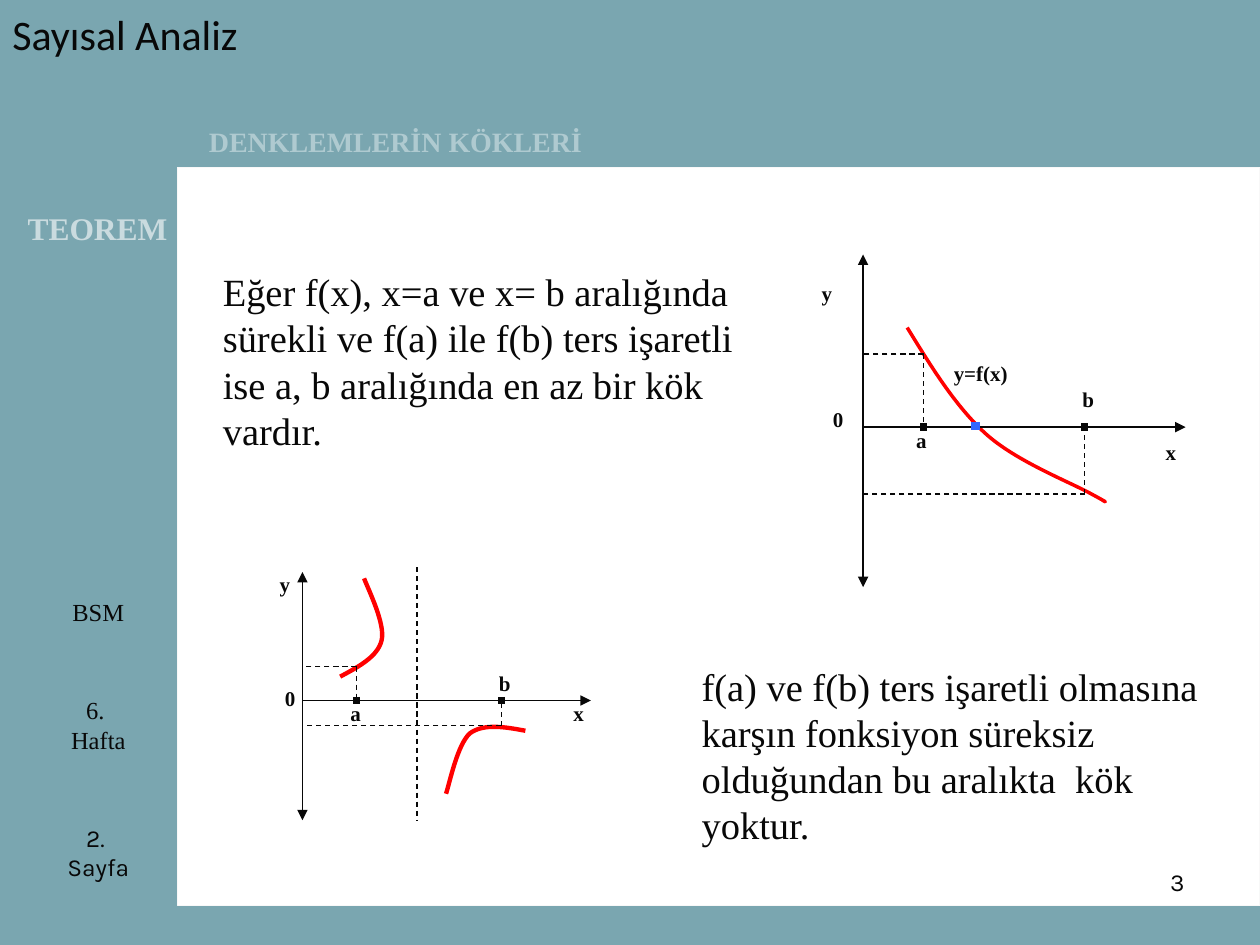
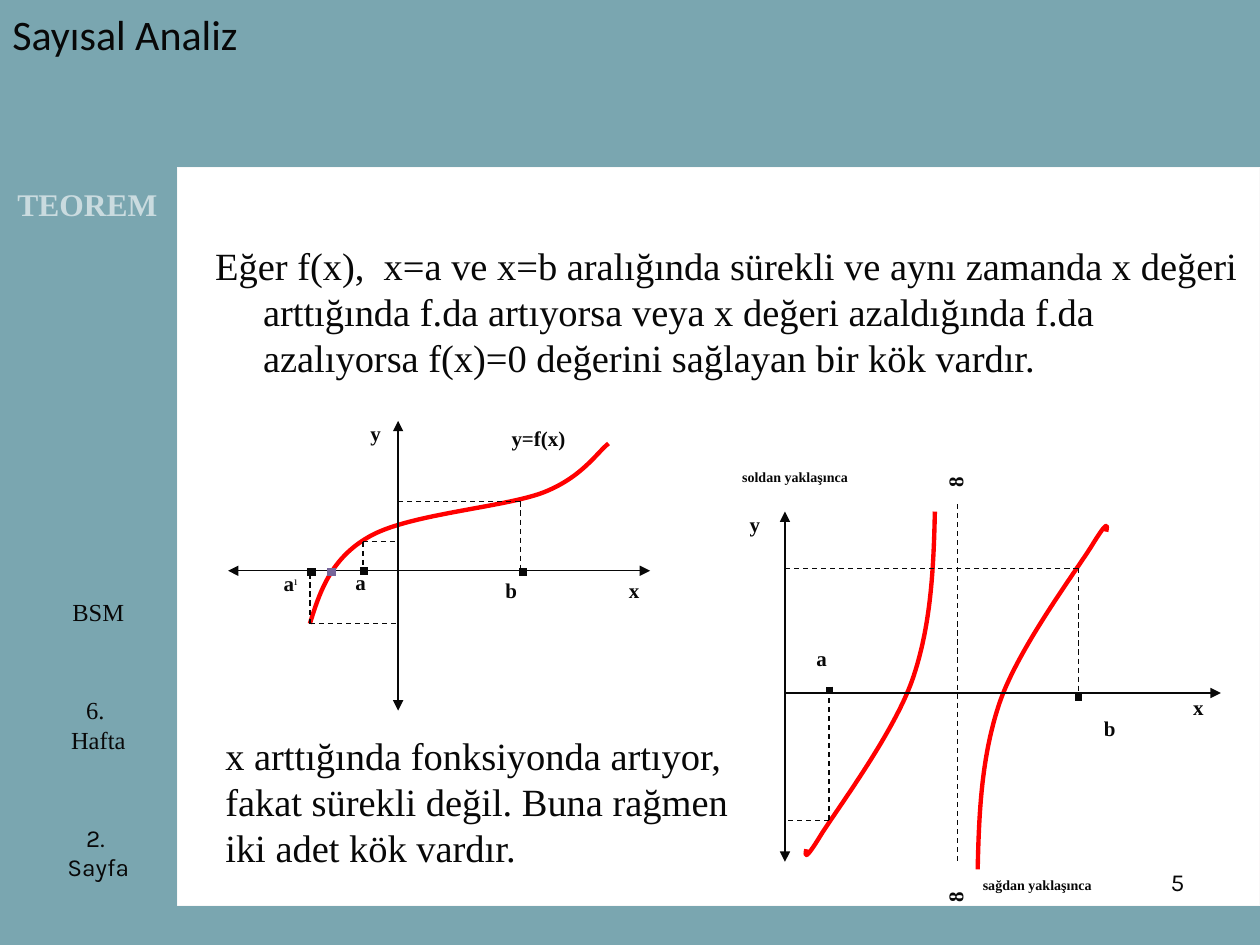
import pptx
import pptx.util
import pptx.dml.color
import pptx.enum.dml
import pptx.enum.shapes
import pptx.enum.text
import pptx.oxml.ns
import lxml.etree

Inches = pptx.util.Inches
Pt = pptx.util.Pt
rgb = pptx.dml.color.RGBColor.from_string
qn = pptx.oxml.ns.qn
ALIGN = pptx.enum.text.PP_ALIGN

TEAL, WHITE, EDGE, INK = "7AA6B0", "FFFFFF", "F8F8F8", "080808"
RED, BLUE, PURPLE = "FF0000", "3366FF", "76669A"
HEADING, SIDE_HEADING = "AFCAD0", "CADBDF"
SERIF = "Times New Roman"


def add_text(s, text, left, top, width, height, size, font=SERIF, color=INK,
             bold=False, align=ALIGN.LEFT, wrap=True, inset=None):
    """Add a text box; what follows a ^ becomes a plain superscript."""
    sp = s.shapes.add_textbox(Inches(left), Inches(top), Inches(width), Inches(height))
    tf = sp.text_frame
    tf.word_wrap = wrap
    if inset is not None:
        tf.margin_left = tf.margin_right = Inches(inset)
        tf.margin_top = tf.margin_bottom = 0
    p = tf.paragraphs[0]
    p.alignment = align
    for i, part in enumerate(text.split("^")):
        r = p.add_run()
        r.text = part
        r.font.name = font
        r.font.size = Pt(size)
        r.font.bold = bold and i == 0
        r.font.color.rgb = rgb(color)
        if i:
            r.font._element.set("baseline", "30000")
    return sp


def add_line(s, x1, y1, x2, y2, color=INK, width=0.75, dashed=False, arrows=()):
    """Add a straight line; arrows may hold headEnd and tailEnd."""
    sp = s.shapes.add_connector(pptx.enum.shapes.MSO_CONNECTOR.STRAIGHT,
                                Inches(x1), Inches(y1), Inches(x2), Inches(y2))
    sp.line.color.rgb = rgb(color)
    sp.line.width = Pt(width)
    if dashed:
        sp.line.dash_style = pptx.enum.dml.MSO_LINE.DASH
    spPr = sp._element.spPr
    for end in arrows:
        lxml.etree.SubElement(spPr.find(qn("a:ln")), qn("a:" + end), type="triangle")
    lxml.etree.SubElement(spPr, qn("a:effectLst"))


prs = pptx.Presentation()
prs.slide_width = Inches(10)
prs.slide_height = Inches(7.5)
background = prs.slide_master.background.fill
background.solid()
background.fore_color.rgb = rgb(TEAL)

# Shared frame: white panel, course title, sidebar, page number, side heading
slides = []
for number, teorem_left, teorem_top in [("3", 0.12, 1.61), ("5", 0.04, 1.42)]:
    s = prs.slides.add_slide(prs.slide_layouts[6])
    slides.append(s)
    panel = s.shapes.add_shape(pptx.enum.shapes.MSO_SHAPE.RECTANGLE,
                               Inches(1.41), Inches(1.33), Inches(8.59), Inches(5.86))
    panel.shadow.inherit = False
    panel.fill.solid()
    panel.fill.fore_color.rgb = rgb(WHITE)
    panel.line.color.rgb = rgb(EDGE)
    panel.line.width = Pt(0.75)
    for text, top, height, font in [("BSM", 4.69, 0.47, SERIF),
                                    ("6.  Hafta", 5.47, 0.7, SERIF),
                                    ("2.  Sayfa", 6.48, 0.52, "Karla")]:
        add_text(s, text, 0.39, top, 0.78, height, 14, font, align=ALIGN.CENTER)
    add_text(s, number, 7.17, 6.83, 2.33, 0.52, 14, "Karla", align=ALIGN.RIGHT)
    title = add_text(s, "Sayısal Analiz", 0, 0, 8.07, 0.54, 24, "Calibri")
    title.text_frame.vertical_anchor = pptx.enum.text.MSO_ANCHOR.MIDDLE
    add_text(s, "TEOREM", teorem_left, teorem_top, 1.32, 0.4, 18,
             color=SIDE_HEADING, bold=True, wrap=False)
first, second = slides

# Theorem texts
add_text(first, "DENKLEMLERİN KÖKLERİ", 1.54, 0.94, 3.2, 0.37, 16,
         color=HEADING, bold=True, align=ALIGN.CENTER, wrap=False)
add_text(first, "Eğer f(x), x=a ve x= b aralığında sürekli ve f(a) ile f(b) ters işaretli "
         "ise a, b aralığında en az bir kök vardır.", 1.67, 2.08, 4.51, 1.62, 22)
add_text(first, "f(a) ve f(b) ters işaretli olmasına karşın fonksiyon süreksiz "
         "olduğundan bu aralıkta  kök yoktur.", 5.47, 5.21, 4.41, 1.65, 22)
theorem = add_text(second, "Eğer f(x),  x=a ve x=b aralığında sürekli ve aynı zamanda x değeri "
                   "arttığında f.da artıyorsa veya x değeri azaldığında f.da azalıyorsa "
                   "f(x)=0 değerini sağlayan bir kök vardır.", 1.61, 1.87, 8.39, 1.2, 22)
pPr = theorem.text_frame.paragraphs[0]._p.get_or_add_pPr()
pPr.set("marL", str(Inches(0.38)))
pPr.set("indent", str(-Inches(0.38)))
add_text(second, "x arttığında fonksiyonda artıyor, fakat sürekli değil. Buna rağmen "
         "iki adet kök vardır.", 1.69, 5.76, 4.41, 1.26, 22)

# Graphs: Bezier points of the curves, axes with their origin, curve points
# projected on both axes, marks (x, y, colour, width) and labels (text, x, y)
left_branch = [(7.42, 4.06), (7.41, 4.51), (7.39, 4.97), (7.24, 5.4), (7.09, 5.82),
               (6.66, 6.4), (6.52, 6.62), (6.38, 6.85), (6.39, 6.79), (6.4, 6.74)]
right_branch = [(15.18 - x, 10.96 - y) for x, y in left_branch]
graphs = [
    dict(slide=first, origin=(6.85, 3.39), x_axis=(6.85, 9.41), y_axis=(2.02, 4.66),
         curves=[[(7.2, 2.6), (7.39, 2.91), (7.58, 3.22), (7.82, 3.44), (8.06, 3.66),
                  (8.5, 3.83), (8.66, 3.92), (8.81, 4), (8.78, 3.99), (8.75, 3.97)]],
         curve_width=2, projected=[(7.33, 2.81), (8.61, 3.92)], asymptote=None,
         marks=[(7.33, 3.39, INK, 4), (8.61, 3.39, INK, 4), (7.74, 3.38, BLUE, 5.25)],
         labels=[("x", 9.23, 3.49), ("y", 6.5, 2.23), ("a", 7.25, 3.39),
                 ("b", 8.57, 3.07), ("0", 6.59, 3.23), ("y=f(x)", 7.55, 2.86)]),
    dict(slide=first, origin=(2.4, 5.56), x_axis=(2.4, 4.69), y_axis=(4.54, 6.51),
         curves=[[(2.7, 5.37), (2.85, 5.29), (3, 5.21), (3.03, 5.08),
                  (3.06, 4.95), (2.92, 4.67), (2.89, 4.59)],
                 [(4.17, 5.8), (4.01, 5.77), (3.84, 5.74), (3.73, 5.82),
                  (3.63, 5.91), (3.57, 6.21), (3.54, 6.3)]],
         curve_width=2.5, projected=[(2.83, 5.29), (3.98, 5.76)], asymptote=(3.31, 4.5, 6.51),
         marks=[(2.83, 5.56, INK, 4), (3.98, 5.56, INK, 4)],
         labels=[("a", 2.76, 5.56), ("b", 3.94, 5.32), ("0", 2.24, 5.44),
                 ("y", 2.2, 4.54), ("x", 4.53, 5.56)]),
    dict(slide=second, origin=(3.16, 4.53), x_axis=(1.81, 5.16), y_axis=(3.34, 5.64),
         curves=[[(2.46, 4.95), (2.54, 4.69), (2.63, 4.43), (2.93, 4.26), (3.24, 4.08),
                  (3.99, 4.03), (4.31, 3.91), (4.62, 3.79), (4.74, 3.59), (4.83, 3.52)]],
         curve_width=2.5, projected=[(2.46, 4.95), (2.88, 4.3), (4.13, 3.98)], asymptote=None,
         marks=[(2.63, 4.54, PURPLE, 5.25), (2.47, 4.54, INK, 5.25),
                (4.15, 4.54, INK, 4.25), (2.89, 4.53, INK, 4.25)],
         labels=[("y", 2.92, 3.34), ("x", 4.97, 4.58), ("y=f(x)", 4.04, 3.38),
                 ("a^ı", 2.23, 4.53), ("a", 2.8, 4.52), ("b", 3.99, 4.58)]),
    dict(slide=second, origin=(6.23, 5.5), x_axis=(6.23, 9.69), y_axis=(4.06, 6.84),
         curves=[left_branch, right_branch],
         curve_width=2.5, projected=[(6.58, 6.51), (8.56, 4.51)], asymptote=(7.6, 4, 6.84),
         marks=[(6.58, 5.48, INK, 4), (8.56, 5.53, INK, 4)],
         labels=[("a", 6.46, 5.12), ("b", 8.74, 5.68), ("y", 5.93, 4.06), ("x", 9.45, 5.51)]),
]
for g in graphs:
    s = g["slide"]
    ox, oy = g["origin"]

    # Curves: every three straight segments become one Bezier segment
    for points in g["curves"]:
        builder = s.shapes.build_freeform(Inches(points[0][0]), Inches(points[0][1]))
        builder.add_line_segments([(Inches(x), Inches(y)) for x, y in points[1:]], close=False)
        sp = builder.convert_to_shape()
        sp.shadow.inherit = False
        sp.fill.background()
        sp.line.color.rgb = rgb(RED)
        sp.line.width = Pt(g["curve_width"])
        outline = sp._element.find(".//" + qn("a:path"))
        segments = outline.findall(qn("a:lnTo"))
        for i in range(0, len(segments), 3):
            bezier = lxml.etree.SubElement(outline, qn("a:cubicBezTo"))
            for segment in segments[i:i + 3]:
                bezier.append(segment[0])
                outline.remove(segment)

    # Axes
    left, right = g["x_axis"]
    top, bottom = g["y_axis"]
    both = ("headEnd", "tailEnd")
    add_line(s, left, oy, right, oy, arrows=both if left < ox else ("tailEnd",))
    add_line(s, ox, top, ox, bottom, arrows=both)

    # Dashed guides
    for x, y in g["projected"]:
        add_line(s, x, y, ox, y, dashed=True)
        add_line(s, x, y, x, oy, dashed=True)
    if g["asymptote"]:
        x, top, bottom = g["asymptote"]
        add_line(s, x, top, x, bottom, dashed=True)

    # Marks and labels
    for x, y, color, width in g["marks"]:
        add_line(s, x, y - 0.03, x, y + 0.03, color, width)
    for text, x, y in g["labels"]:
        add_text(s, text, x, y, 0.66 if len(text) > 3 else 0.25, 0.2, 12, bold=True, inset=0.02)

# Infinity signs at both ends of the asymptote, with their captions
for top in (3.6, 6.89):
    infinity = add_text(second, "8", 7.44, top, 0.33, 0.25, 12, bold=True, inset=0.02)
    infinity.rotation = 270
add_text(second, "soldan yaklaşınca", 5.87, 3.72, 1.55, 0.16, 8, bold=True, inset=0.02)
add_text(second, "sağdan yaklaşınca", 7.78, 6.96, 1.85, 0.16, 8, bold=True, inset=0.02)

prs.save("out.pptx")
